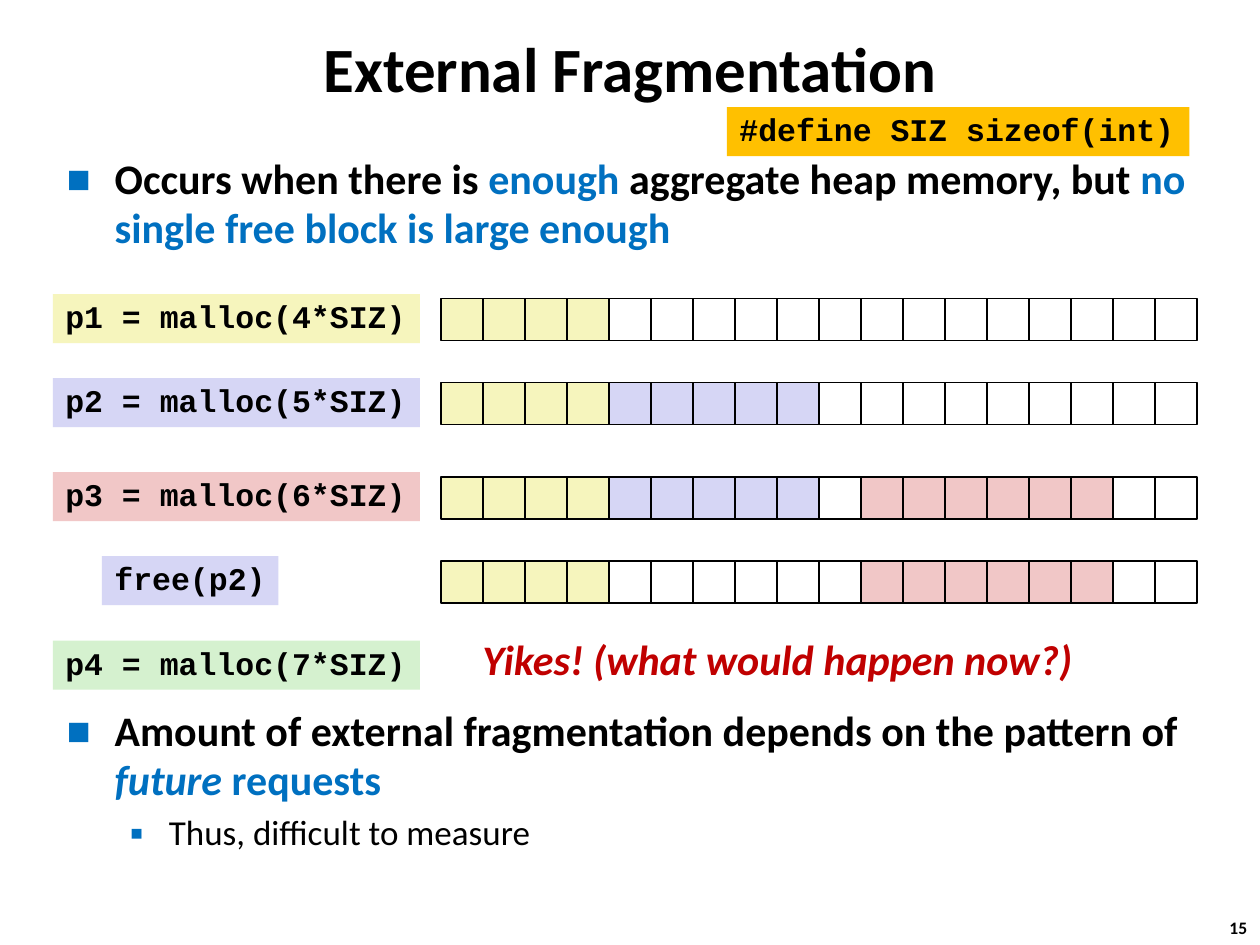
import pptx
import pptx.util
import pptx.dml.color
import pptx.enum.shapes
import pptx.enum.text
import pptx.oxml.ns
from dataclasses import dataclass
from lxml import etree

ANCHOR = pptx.enum.text.MSO_ANCHOR
ALIGN = pptx.enum.text.PP_ALIGN
RECTANGLE = pptx.enum.shapes.MSO_SHAPE.RECTANGLE
COLUMNS, ROWS = 30, 22.5  # one grid unit is one memory word
WORDS = 18


@dataclass(frozen=True)
class Theme:
    ink: str = "000000"
    accent: str = "0070C0"
    alarm: str = "C00000"
    free: str = "FFFFFF"
    define: str = "FFC000"
    p1: str = "F6F5BD"
    p2: str = "D6D6F5"
    p3: str = "F1C7C7"
    p4: str = "D5F1CF"
    prose: str = "Calibri"
    code: str = "Courier New"
    title_size: int = 36
    body_size: int = 24
    sub_size: int = 20
    code_size: int = 18
    page_size: int = 10


THEME = Theme()


def rgb(color):
    return pptx.dml.color.RGBColor.from_string(color)


def grid(prs, box):
    """Turn left, top, width and height in grid units into lengths."""
    across, down = prs.slide_width / COLUMNS, prs.slide_height / ROWS
    return [round(n * unit) for n, unit in zip(box, (across, down) * 2)]


def place(prs, placeholder, box):
    placeholder.left, placeholder.top, placeholder.width, placeholder.height = grid(prs, box)


def style(font, size, color=THEME.ink, face=THEME.prose, bold=True, italic=False):
    font.name, font.size = face, pptx.util.Pt(size)
    font.bold, font.italic = bold, italic
    font.color.rgb = rgb(color)


def add_bullet(paragraph, mark, percent, margin, hanging):
    props = paragraph._p.get_or_add_pPr()
    props.set("marL", str(pptx.util.Inches(margin)))
    props.set("indent", str(-pptx.util.Inches(hanging)))
    qn = pptx.oxml.ns.qn
    color = etree.SubElement(props, qn("a:buClr"))
    etree.SubElement(color, qn("a:srgbClr"), val=THEME.accent)
    etree.SubElement(props, qn("a:buSzPct"), val=str(percent * 1000))
    etree.SubElement(props, qn("a:buFont"), typeface=THEME.prose)
    etree.SubElement(props, qn("a:buChar"), char=mark)


def add_title(prs, slide, box):
    title = slide.shapes.title
    place(prs, title, box)
    title.text_frame.text = "External Fragmentation"
    title.text_frame.vertical_anchor = ANCHOR.MIDDLE
    heading = title.text_frame.paragraphs[0]
    heading.alignment = ALIGN.CENTER
    style(heading.font, THEME.title_size)


def add_points(prs, slide, box):
    """Two bullets, with a gap between them for the heap diagram."""
    body = slide.placeholders[1]
    place(prs, body, box)
    frame = body.text_frame
    frame.auto_size = pptx.enum.text.MSO_AUTO_SIZE.NONE
    frame.vertical_anchor = ANCHOR.TOP
    # level, space before in points, runs of (text, colour, italic)
    points = [
        (0, 0, [("Occurs when there is ", THEME.ink, False),
                ("enough", THEME.accent, False),
                (" aggregate heap memory, but ", THEME.ink, False),
                ("no single free block is large enough", THEME.accent, False)]),
        (0, 259, [("Amount of external fragmentation depends on the pattern of ", THEME.ink, False),
                  ("future", THEME.accent, True),
                  (" requests", THEME.accent, False)]),
        (1, 4, [("Thus, difficult to measure", THEME.ink, False)]),
    ]
    bullets = [("■", 60, 0.38, 0.38), ("▪", 110, 0.81, 0.31)]
    sizes = [THEME.body_size, THEME.sub_size]
    for index, (level, gap, runs) in enumerate(points):
        point = frame.paragraphs[0] if index == 0 else frame.add_paragraph()
        point.level = level
        add_bullet(point, *bullets[level])
        point.line_spacing, point.space_before = 0.98, pptx.util.Pt(gap)
        for text, color, italic in runs:
            run = point.add_run()
            run.text = text
            style(run.font, sizes[level], color, bold=level == 0, italic=italic)


def add_block(shapes, bounds, fill, line=None):
    block = shapes.add_shape(RECTANGLE, *bounds)
    block.shadow.inherit = False
    block.fill.solid()
    block.fill.fore_color.rgb = rgb(fill)
    if line:
        block.line.color.rgb = rgb(line)
        block.line.width = pptx.util.Pt(1)
    else:
        block.line.fill.background()
    return block


def add_code(prs, slide, box, code, fill):
    frame = add_block(slide.shapes, grid(prs, box), fill).text_frame
    frame.text = code
    frame.word_wrap = False
    frame.vertical_anchor = ANCHOR.TOP
    statement = frame.paragraphs[0]
    statement.alignment = ALIGN.LEFT
    statement.line_spacing = 0.94
    style(statement.font, THEME.code_size, face=THEME.code)


def add_heap(prs, slide, left, top, used):
    """One row of words; used lists (first word, count, fill)."""
    fills = [THEME.free] * WORDS
    for first, count, fill in used:
        fills[first:first + count] = [fill] * count
    heap = slide.shapes.add_group_shape()
    for word, fill in enumerate(fills):
        add_block(heap.shapes, grid(prs, (left + word, top, 1, 1)), fill, THEME.ink)


def add_steps(prs, slide, box):
    """Code on the left, and the heap it leaves on the right."""
    left, top, width, _ = box
    p1, p2, p3 = (0, 4, THEME.p1), (4, 5, THEME.p2), (10, 6, THEME.p3)
    label, indented = (0, 8.74), (1.17, 4.2)
    # row, label span, code, fill, heap
    steps = [
        (0, label, "p1 = malloc(4*SIZ)", THEME.p1, [p1]),
        (2, label, "p2 = malloc(5*SIZ)", THEME.p2, [p1, p2]),
        (4.24, label, "p3 = malloc(6*SIZ)", THEME.p3, [p1, p2, p3]),
        (6.24, indented, "free(p2)", THEME.p2, [p1, p3]),
        (8.25, label, "p4 = malloc(7*SIZ)", THEME.p4, None),
    ]
    for row, (shift, span), code, fill, used in steps:
        add_code(prs, slide, (left + shift, top + row, span, 1.17), code, fill)
        if used:
            add_heap(prs, slide, left + width - WORDS, top + row + 0.11, used)


def add_note(prs, slide, box, text, **look):
    frame = slide.shapes.add_textbox(*grid(prs, box)).text_frame
    frame.text = text
    frame.word_wrap = False
    style(frame.paragraphs[0].font, **look)


def main():
    prs = pptx.Presentation()
    prs.slide_width, prs.slide_height = pptx.util.Inches(10), pptx.util.Inches(7.5)
    slide = prs.slides.add_slide(prs.slide_layouts[1])

    # Title and bullets
    add_title(prs, slide, (2.55, 0.36, 24.9, 2.49))
    add_points(prs, slide, (1.29, 3.54, 27.45, 17.22))

    # Heap diagram
    add_code(prs, slide, (17.31, 2.55, 11.01, 1.17), "#define SIZ sizeof(int)", THEME.define)
    add_steps(prs, slide, (1.26, 7, 27.24, 9.42))
    add_note(prs, slide, (11.19, 14.94, 14.76, 1.5), "Yikes! (what would happen now?)",
             size=THEME.body_size, color=THEME.alarm, italic=True)

    # Page number
    add_note(prs, slide, (28.98, 21.69, 1.11, 0.81), "15", size=THEME.page_size)
    prs.save("out.pptx")


if __name__ == "__main__":
    main()
